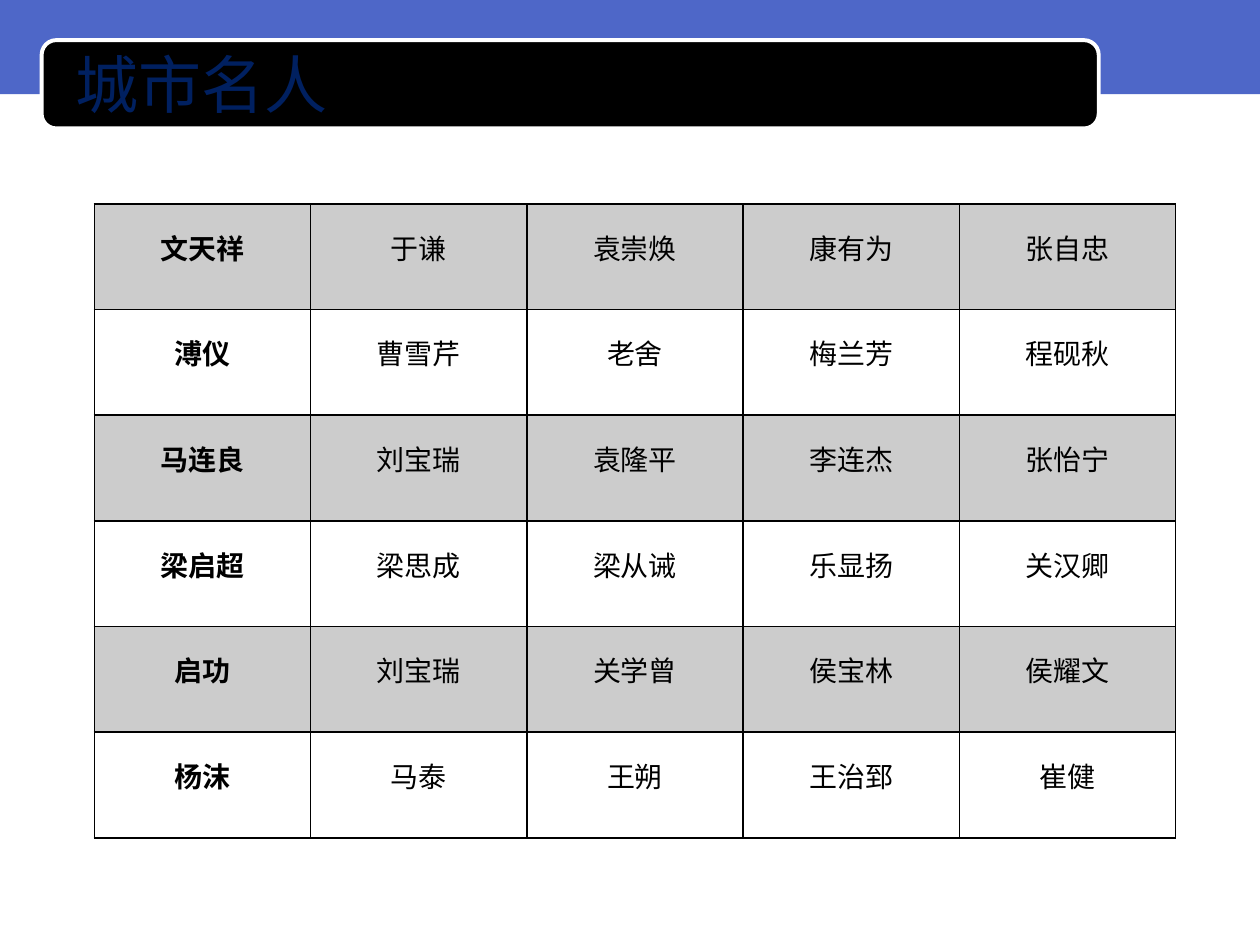
from lxml.etree import SubElement
from pptx import Presentation
from pptx.dml.color import RGBColor
from pptx.enum.shapes import MSO_SHAPE
from pptx.enum.text import MSO_ANCHOR, PP_ALIGN
from pptx.oxml.ns import qn
from pptx.util import Cm, Pt

BLUE = RGBColor(0x4E, 0x67, 0xC8)
NAVY = RGBColor(0x00, 0x20, 0x60)
BLACK = RGBColor(0x00, 0x00, 0x00)
WHITE = RGBColor(0xFF, 0xFF, 0xFF)

NAMES = [
    ["文天祥", "于谦", "袁崇焕", "康有为", "张自忠"],
    ["溥仪", "曹雪芹", "老舍", "梅兰芳", "程砚秋"],
    ["马连良", "刘宝瑞", "袁隆平", "李连杰", "张怡宁"],
    ["梁启超", "梁思成", "梁从诫", "乐显扬", "关汉卿"],
    ["启功", "刘宝瑞", "关学曾", "侯宝林", "侯耀文"],
    ["杨沫", "马泰", "王朔", "王治郅", "崔健"],
]
COLUMN_WIDTH, ROW_HEIGHT = Cm(4.36), Cm(2.13)
CELL_FORMAT = {
    "vertical_anchor": MSO_ANCHOR.MIDDLE,
    "margin_left": Cm(0.18),
    "margin_right": Cm(0.18),
    "margin_top": 0,
    "margin_bottom": 0,
}
CELL_PARAGRAPH = {"alignment": PP_ALIGN.CENTER, "line_spacing": Pt(12)}


def apply_format(target, values):
    for name, value in values.items():
        setattr(target, name, value)


def add_borders(cell):
    properties = cell._tc.get_or_add_tcPr()
    for side in ("a:lnL", "a:lnR", "a:lnT", "a:lnB"):
        line = SubElement(properties, qn(side), w=str(Pt(1)))
        fill = SubElement(line, qn("a:solidFill"))
        SubElement(fill, qn("a:srgbClr"), val=str(BLACK))


deck = Presentation()
deck.slide_width, deck.slide_height = Cm(25.4), Cm(19.05)
page = deck.slides.add_slide(deck.slide_layouts[6])

# Header band
band = page.shapes.add_shape(MSO_SHAPE.RECTANGLE, 0, 0, Cm(25.43), Cm(1.9))
band.shadow.inherit = False
band.fill.solid()
band.fill.fore_color.rgb = BLUE
band.line.fill.background()

# Title plate
plate = page.shapes.add_shape(
    MSO_SHAPE.ROUNDED_RECTANGLE, Cm(0.84), Cm(0.81), Cm(21.31), Cm(1.78))
plate.shadow.inherit = False
plate.fill.solid()
plate.fill.fore_color.rgb = BLACK
plate.line.color.rgb = WHITE
plate.line.width = Pt(2.25)

# Title
title = page.shapes.add_textbox(Cm(1.27), Cm(0.89), Cm(20.52), Cm(1.57))
apply_format(title.text_frame, {
    "word_wrap": True, "vertical_anchor": MSO_ANCHOR.MIDDLE})
para = title.text_frame.paragraphs[0]
para.alignment = PP_ALIGN.JUSTIFY
span = para.add_run()
span.text = "城市名人"
apply_format(span.font, {"name": "Arial", "size": Pt(36)})
span.font.color.rgb = NAVY

# Table of names
row_count, column_count = len(NAMES), len(NAMES[0])
table = page.shapes.add_table(
    row_count, column_count, Cm(1.9), Cm(4.11),
    COLUMN_WIDTH * column_count, ROW_HEIGHT * row_count).table
apply_format(table, {"first_row": False, "horz_banding": False})
for column in table.columns:
    column.width = COLUMN_WIDTH
for row in table.rows:
    row.height = ROW_HEIGHT

for row_index, names in enumerate(NAMES):
    for column_index, name in enumerate(names):
        cell = table.cell(row_index, column_index)
        apply_format(cell, CELL_FORMAT)
        add_borders(cell)

        # Every other row is tinted with black at 20 % opacity
        if row_index % 2 == 0:
            cell.fill.solid()
            cell.fill.fore_color.rgb = BLACK
            tint = cell._tc.tcPr.find(qn("a:solidFill")).find(qn("a:srgbClr"))
            SubElement(tint, qn("a:alpha"), val="20000")
        else:
            cell.fill.background()

        para = cell.text_frame.paragraphs[0]
        apply_format(para, CELL_PARAGRAPH)
        span = para.add_run()
        span.text = name
        apply_format(span.font, {
            "name": "Calibri", "size": Pt(16), "bold": column_index == 0})
        span.font.color.rgb = BLACK

deck.save("out.pptx")
